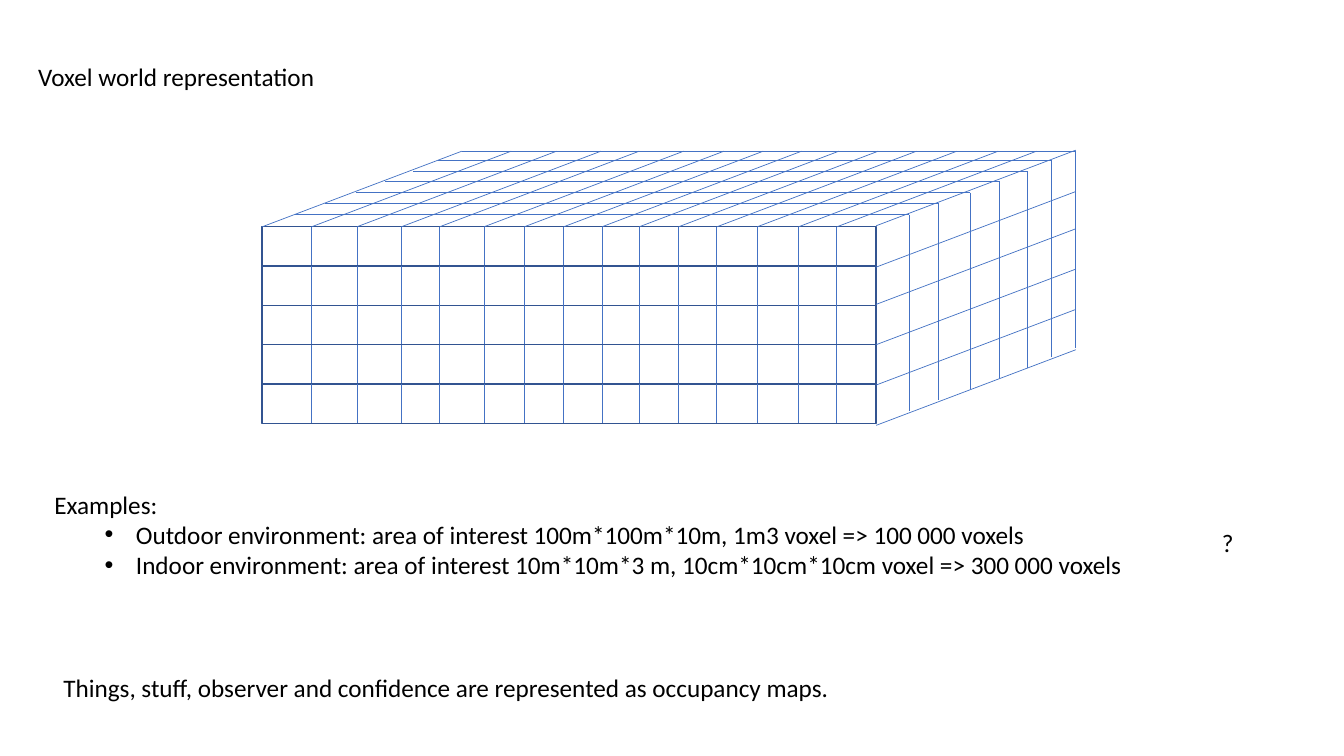
from lxml import etree
from pptx import Presentation
from pptx.dml.color import RGBColor
from pptx.enum.shapes import MSO_CONNECTOR, MSO_SHAPE
from pptx.enum.text import MSO_AUTO_SIZE
from pptx.oxml.ns import qn
from pptx.util import Pt

STRAIGHT = MSO_CONNECTOR.STRAIGHT
RECTANGLE = MSO_SHAPE.RECTANGLE
FIT_TEXT = MSO_AUTO_SIZE.SHAPE_TO_FIT_TEXT

PX = 9144  # 100 px to the inch
COLORS = {"text": "000000", "grid": "4472C4", "frame": "325491"}
FONT = {"name": "Calibri", "size": Pt(18)}

# Voxel block, measured from the top left corner of its front face
ROWS = 5
ROW_HEIGHT = 39
COLUMNS = (49, 94, 138, 176, 220, 260, 299, 337, 374, 413, 451, 491, 532, 570)
SIDE_EDGES = (-1, 40, 77, 117, 157, 197)
DEPTHS = ((33, -12), (62, -23), (93, -34), (122, -45),
          (150, -55), (174, -66), (198, -75))

EXAMPLES = (
    "Outdoor environment: area of interest 100m*100m*10m, 1m3 voxel => 100 000 voxels",
    "Indoor environment: area of interest 10m*10m*3 m, 10cm*10cm*10cm voxel => 300 000 voxels",
)


def px(*lengths):
    return [length * PX for length in lengths]


def add_line(shapes, x, y, across, down):
    line = shapes.add_connector(STRAIGHT, *px(x, y, x + across, y + down))
    line.line.color.rgb = RGBColor.from_string(COLORS["grid"])
    line.line.width = Pt(0.5)
    etree.SubElement(line._element.spPr, qn("a:effectLst"))


def add_front_row(page, box):
    left, top, width, height = box
    shapes = page.shapes.add_group_shape().shapes
    frame = shapes.add_shape(RECTANGLE, *px(*box))
    frame.shadow.inherit = False
    frame.fill.background()
    frame.line.color.rgb = RGBColor.from_string(COLORS["frame"])
    frame.line.width = Pt(1)
    for column in COLUMNS:
        add_line(shapes, left + column, top, 0, height)


def add_voxel_block(page, box):
    left, top, width, height = box
    right = left + width
    # Front face
    for row in range(ROWS):
        add_front_row(page, (left, top + row * ROW_HEIGHT, width, ROW_HEIGHT))
    # Receding lines of the side and top faces
    back = DEPTHS[-1]
    for edge in SIDE_EDGES:
        add_line(page.shapes, right, top + edge, *back)
    for column in (0, *COLUMNS):
        add_line(page.shapes, left + column, top, *back)
    # Lines parallel to the front face
    for across, rise in DEPTHS:
        add_line(page.shapes, right + across, top + rise, 0, height)
        add_line(page.shapes, left + across, top + rise, width, 0)


def add_bullet(para):
    properties = para._p.get_or_add_pPr()
    for key, value in {"marL": 81 * PX, "indent": -31 * PX, "lvl": 1}.items():
        properties.set(key, str(value))
    etree.SubElement(properties, qn("a:buFont")).set("typeface", "Arial")
    etree.SubElement(properties, qn("a:buChar")).set("char", "•")


def add_text(page, box, text, bullets=()):
    frame = page.shapes.add_textbox(*px(*box)).text_frame
    frame.word_wrap = False
    frame.auto_size = FIT_TEXT
    for index, words in enumerate((text, *bullets)):
        para = frame.add_paragraph() if index else frame.paragraphs[0]
        if index:
            add_bullet(para)
        span = para.add_run()
        span.text = words
        for name, value in FONT.items():
            setattr(span.font, name, value)
        span.font.color.rgb = RGBColor.from_string(COLORS["text"])


def main():
    deck = Presentation()
    deck.slide_width, deck.slide_height = px(1333, 750)
    page = deck.slides.add_slide(deck.slide_layouts[6])
    add_voxel_block(page, (260, 225, 609, ROWS * ROW_HEIGHT))
    add_text(page, (28, 56, 297, 40), "Voxel world representation")
    add_text(page, (44, 480, 1091, 101), "Examples:", EXAMPLES)
    add_text(page, (53, 662, 789, 40),
             "Things, stuff, observer and confidence are represented as occupancy maps.")
    add_text(page, (1202, 518, 32, 40), "?")
    deck.save("out.pptx")


if __name__ == "__main__":
    main()
